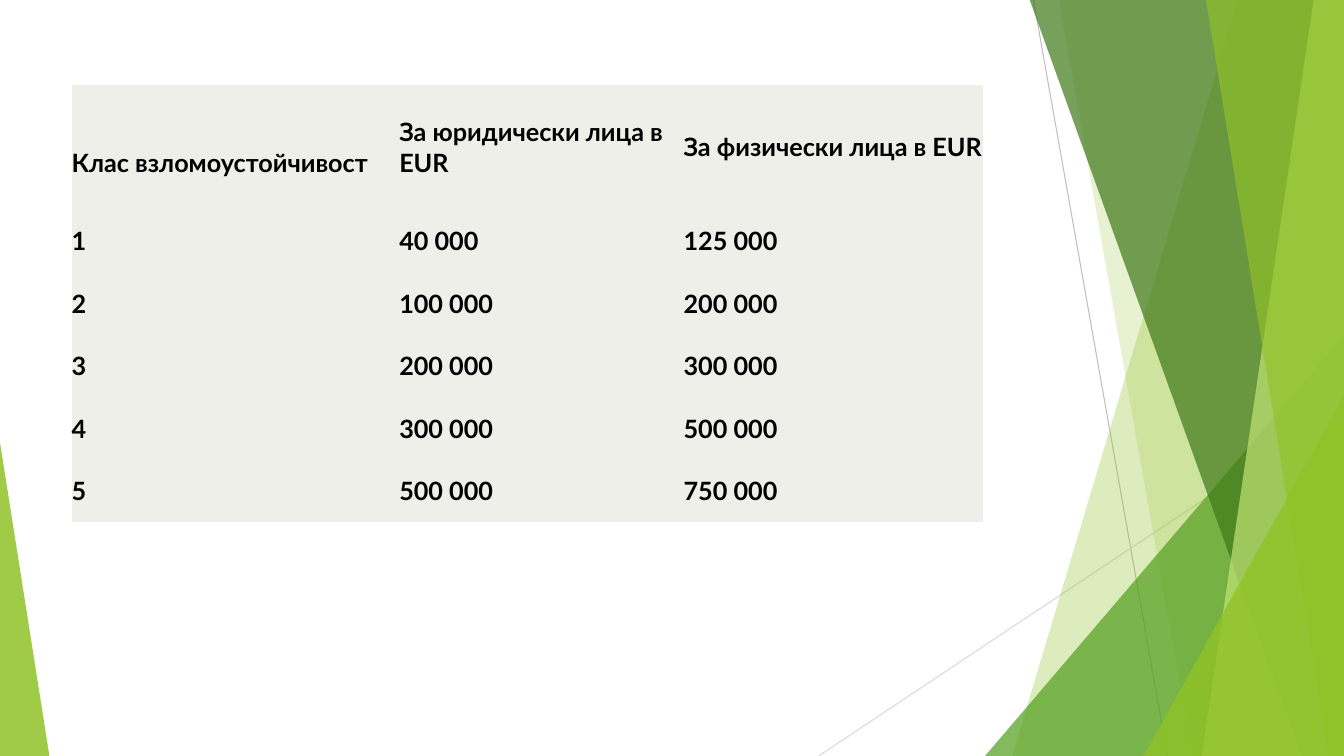
from lxml import etree
from pptx import Presentation
from pptx.dml.color import RGBColor
from pptx.enum.shapes import MSO_CONNECTOR, MSO_SHAPE
from pptx.enum.text import MSO_ANCHOR
from pptx.oxml.ns import qn
from pptx.util import Inches, Pt

STRAIGHT = MSO_CONNECTOR.STRAIGHT
TRIANGLE = MSO_SHAPE.ISOSCELES_TRIANGLE
MIDDLE = MSO_ANCHOR.MIDDLE

BLACK = RGBColor(0x00, 0x00, 0x00)
GRAY = RGBColor(0xBF, 0xBF, 0xBF)
SILVER = RGBColor(0xD9, 0xD9, 0xD9)
LIME = RGBColor(0x90, 0xC2, 0x26)
PALE = RGBColor(0xC0, 0xE4, 0x74)
GREEN = RGBColor(0x54, 0xA0, 0x21)
DARK = RGBColor(0x3F, 0x78, 0x19)
CREAM = RGBColor(0xEE, 0xEF, 0xE9)

FONT = "Lato"
NO_GRID = "{2D5ABB26-0587-4C30-8999-92F81FD0307C}"
WIDTH, HEIGHT = 13.33, 7.5
TOP = -0.01

COLS = [3.25, 2.82, 2.97]
HEAD, ROW = 1.24, 0.62
LINE = 0.3
LIMITS = [
    ("Клас взломоустойчивост", "За юридически лица в EUR", "За физически лица в EUR"),
    ("1", "40 000", "125 000"),
    ("2", "100 000", "200 000"),
    ("3", "200 000", "300 000"),
    ("4", "300 000", "500 000"),
    ("5", "500 000", "750 000"),
]


def add_line(slide, start, end, color):
    line = slide.shapes.add_connector(STRAIGHT, *map(Inches, start + end))
    line.line.color.rgb = color
    line.line.width = Pt(0.75)
    etree.SubElement(line._element.spPr, qn("a:effectLst"))


def paint(shape, color, alpha):
    """Fill without outline or shadow; alpha is the opacity in percent."""
    shape.shadow.inherit = False
    shape.line.fill.background()
    shape.fill.solid()
    shape.fill.fore_color.rgb = color
    tint = shape._element.spPr.find(qn("a:solidFill"))[0]
    etree.SubElement(tint, qn("a:alpha"), val=str(alpha * 1000))


def add_band(slide, top, foot, color, alpha):
    """Full-height band from a slanted left edge to the right slide edge."""
    points = [(WIDTH, TOP), (WIDTH, HEIGHT), (foot, HEIGHT)]
    form = slide.shapes.build_freeform(Inches(top), Inches(TOP))
    form.add_line_segments([(Inches(x), Inches(y)) for x, y in points])
    paint(form.convert_to_shape(), color, alpha)


def add_corner(slide, left, top, width, peak, color, alpha):
    """Triangle standing on the bottom edge; peak is 0 (left) or 1 (right)."""
    box = map(Inches, (left, top, width, HEIGHT - top))
    shape = slide.shapes.add_shape(TRIANGLE, *box)
    shape.adjustments[0] = peak
    paint(shape, color, alpha)


def fill_cell(cell, text):
    cell.fill.solid()
    cell.fill.fore_color.rgb = CREAM
    cell.vertical_anchor = MIDDLE
    cell.margin_left = cell.margin_right = 0
    cell.margin_top = cell.margin_bottom = 0
    cell.text = text
    font = cell.text_frame.paragraphs[0].font
    font.name = FONT
    font.size = Pt(18)
    font.bold = True
    font.color.rgb = BLACK


def add_limits(slide):
    heights = [HEAD] + [ROW] * (len(LIMITS) - 1)
    box = map(Inches, (0.71, 0.84, sum(COLS), sum(heights)))
    table = slide.shapes.add_table(len(LIMITS), len(COLS), *box).table
    table.first_row = table.horz_banding = False
    table._tbl.tblPr.find(qn("a:tableStyleId")).text = NO_GRID
    for col, width in zip(table.columns, COLS):
        col.width = Inches(width)
    for row, height, texts in zip(table.rows, heights, LIMITS):
        row.height = Inches(height)
        for cell, text in zip(row.cells, texts):
            fill_cell(cell, text)
    table.cell(0, 0).margin_top = Inches(LINE)


def main():
    deck = Presentation()
    deck.slide_width, deck.slide_height = Inches(WIDTH), Inches(HEIGHT)
    slide = deck.slides.add_slide(deck.slide_layouts[6])
    add_line(slide, (10.25, 0), (11.58, HEIGHT), GRAY)
    add_line(slide, (WIDTH, 4.03), (8.12, HEIGHT), SILVER)
    add_band(slide, 12.28, 10.04, LIME, 30)
    add_band(slide, 10.5, 11.83, LIME, 20)
    add_corner(slide, 9.77, 3.33, 3.56, 1, GREEN, 72)
    add_band(slide, 10.21, 12.91, DARK, 70)
    add_band(slide, 13.03, 11.92, PALE, 70)
    add_band(slide, 11.96, 13.18, LIME, 65)
    add_corner(slide, 11.34, 3.93, 1.99, 1, LIME, 80)
    add_corner(slide, 0, 4.39, 0.49, 0, LIME, 85)
    add_limits(slide)
    deck.save("out.pptx")


if __name__ == "__main__":
    main()
